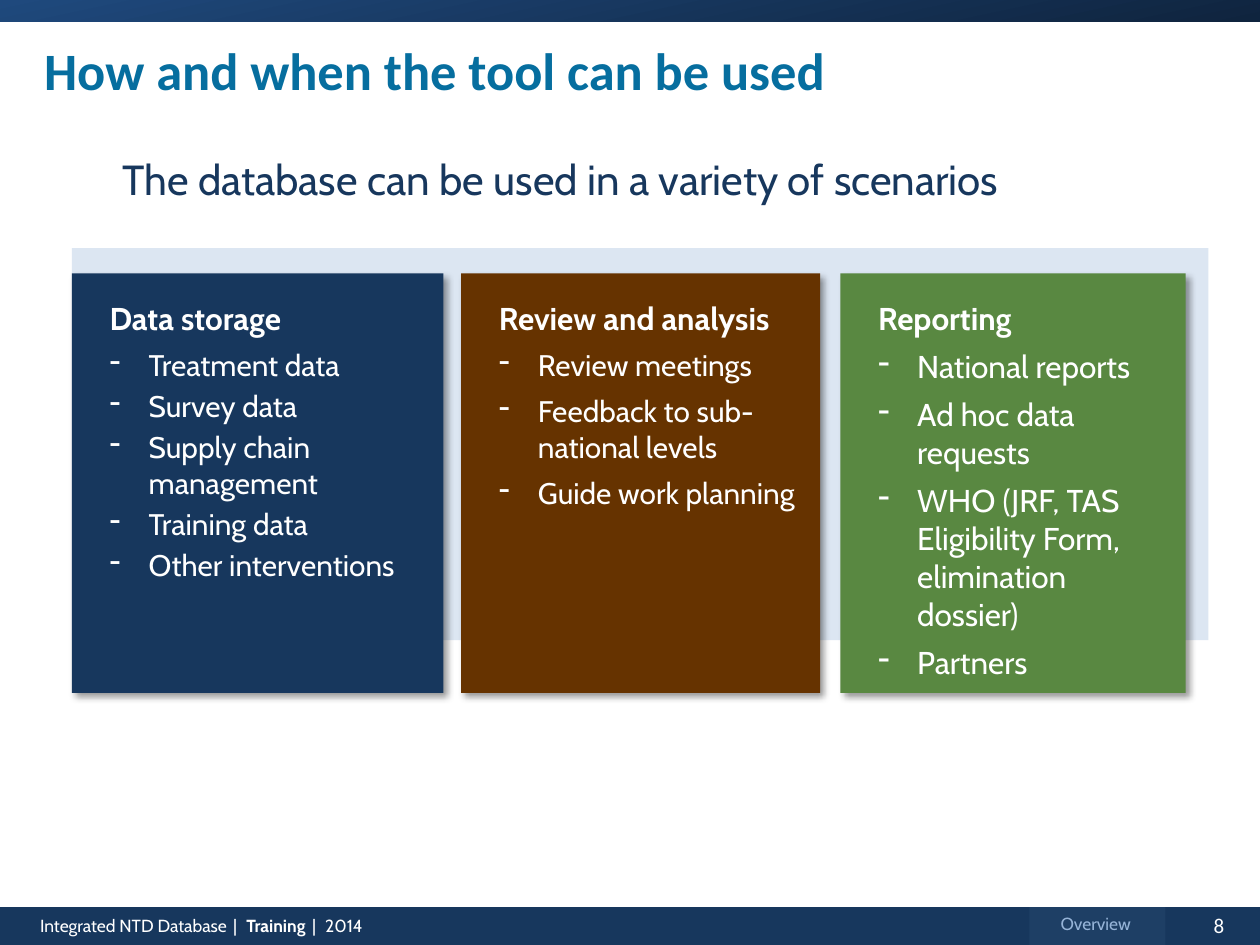
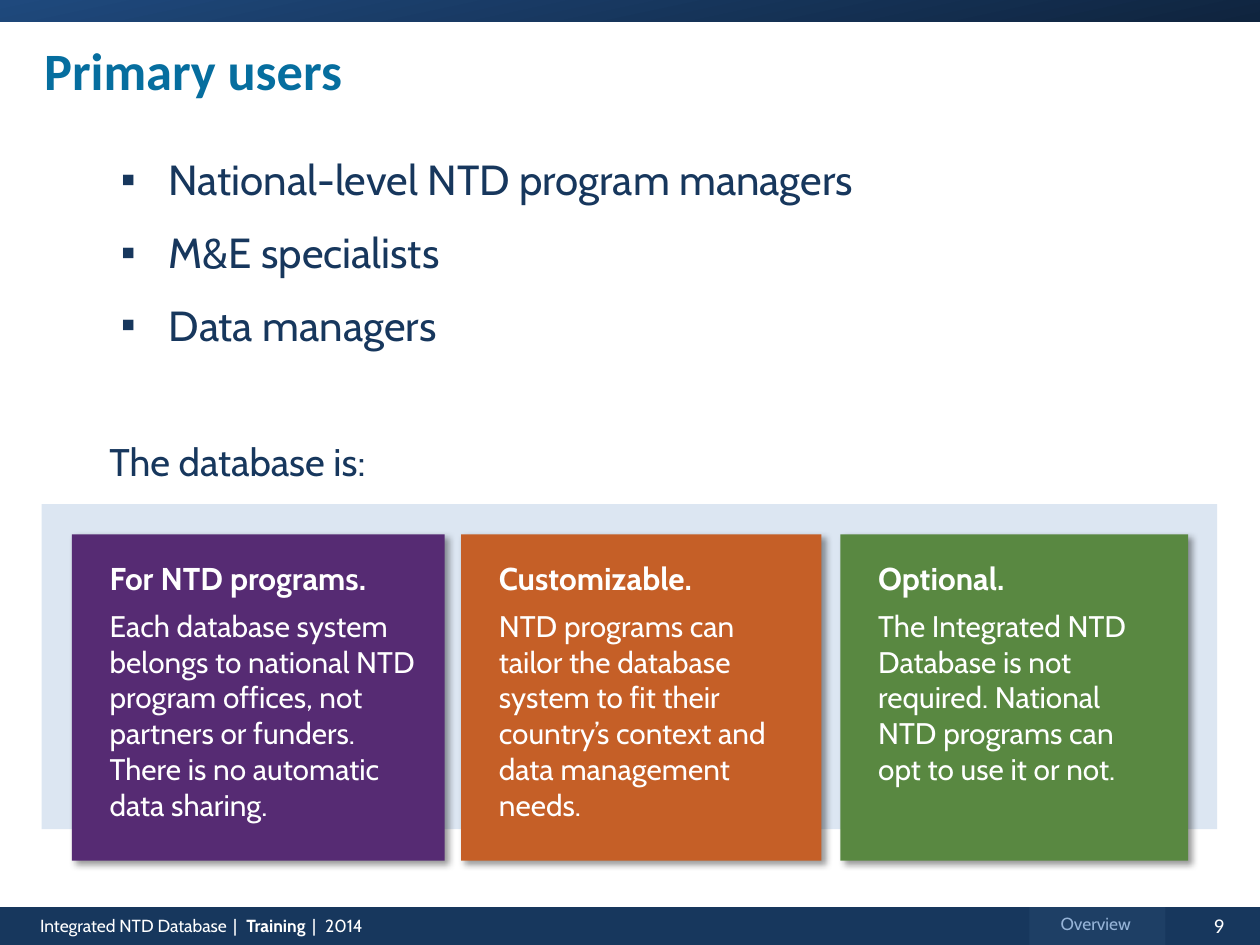
"""Build two training slides on how a health database is used and by whom."""
from lxml.etree import SubElement
from pptx import Presentation
from pptx.dml.color import RGBColor
from pptx.enum.shapes import MSO_SHAPE
from pptx.enum.text import MSO_ANCHOR, MSO_AUTO_SIZE, PP_ALIGN
from pptx.oxml.ns import qn
from pptx.util import Inches, Pt

NAVY = RGBColor(0x17, 0x37, 0x5D)
BAND_LIGHT = RGBColor(0x1F, 0x49, 0x7D)
BAND_DARK = RGBColor(0x0F, 0x24, 0x3E)
TAB_BLUE = RGBColor(0x1E, 0x3F, 0x65)
TAB_TEXT = RGBColor(0x95, 0xB3, 0xD7)
PALE_BLUE = RGBColor(0xDC, 0xE6, 0xF2)
TITLE_BLUE = RGBColor(0x06, 0x6E, 0x9F)
BROWN = RGBColor(0x66, 0x33, 0x00)
GREEN = RGBColor(0x59, 0x88, 0x41)
PURPLE = RGBColor(0x56, 0x2B, 0x73)
ORANGE = RGBColor(0xC5, 0x5F, 0x27)
WHITE = RGBColor(0xFF, 0xFF, 0xFF)

CARD_LEFTS = (0.57, 3.66, 6.67)
CARD_FRAME = {"margin_left": Inches(0.3), "margin_top": Inches(0.2),
              "margin_right": Inches(0.2), "margin_bottom": 0,
              "vertical_anchor": MSO_ANCHOR.TOP, "word_wrap": True}
TITLE_FRAME = {"margin_left": Inches(0.2), "margin_top": Inches(0.05),
               "margin_right": Inches(0.2), "margin_bottom": Inches(0.05),
               "vertical_anchor": MSO_ANCHOR.MIDDLE, "word_wrap": False,
               "auto_size": MSO_AUTO_SIZE.SHAPE_TO_FIT_TEXT}


def apply(target, values):
    """Set each named attribute of the target."""
    for name, value in values.items():
        setattr(target, name, value)


def place(part, left, top, width, height):
    """Move and size a part, in inches."""
    apply(part, {"left": Inches(left), "top": Inches(top),
                 "width": Inches(width), "height": Inches(height)})


def add_run(paragraph, text, size, color, bold=False, face="Cabin"):
    """Append a formatted run to a paragraph."""
    run = paragraph.add_run()
    run.text = text
    apply(run.font, {"size": Pt(size), "bold": bold, "name": face})
    run.font.color.rgb = color
    return run


def next_paragraph(frame):
    """Return the first paragraph while it is empty, then new ones."""
    first = frame.paragraphs[0]
    return first if not first.runs else frame.add_paragraph()


def set_bullet(paragraph, mark, indent, hanging, percent=100):
    """Give a paragraph a bullet mark, or none, with its indents."""
    props = paragraph._p.get_or_add_pPr()
    props.set("marL", str(Inches(indent)))
    props.set("indent", str(Inches(-hanging)))
    if mark:
        SubElement(props, qn("a:buSzPct")).set("val", str(percent * 1000))
        SubElement(props, qn("a:buChar")).set("char", mark)
    else:
        SubElement(props, qn("a:buNone"))


def add_rect(slide, bounds, color):
    """Add a plain rectangle without outline or shadow."""
    rect = slide.shapes.add_shape(MSO_SHAPE.RECTANGLE, *map(Inches, bounds))
    rect.shadow.inherit = False
    rect.fill.solid()
    rect.fill.fore_color.rgb = color
    rect.line.fill.background()
    return rect


def add_label(slide, bounds, align=PP_ALIGN.LEFT, wrap=True):
    """Add an empty text box and return its paragraph."""
    frame = slide.shapes.add_textbox(*map(Inches, bounds)).text_frame
    frame.word_wrap = wrap
    frame.paragraphs[0].alignment = align
    return frame.paragraphs[0]


def add_bands(slide, number):
    """Draw the top band and the footer with its section tab."""
    top_band = add_rect(slide, (0, 0, 10, 0.17), NAVY)
    top_band.fill.gradient()
    top_band.fill.gradient_angle = 282
    for stop, color in zip(top_band.fill.gradient_stops, (BAND_LIGHT, BAND_DARK)):
        stop.color.rgb = color
    for stop, position in zip(top_band.fill.gradient_stops, (0, 1)):
        stop.position = position
    add_rect(slide, (0, 7.2, 10, 0.3), NAVY)
    add_rect(slide, (8.17, 7.2, 1.08, 0.3), TAB_BLUE)
    page = add_label(slide, (9.35, 7.19, 0.65, 0.3), PP_ALIGN.CENTER)
    add_run(page, str(number), 12, WHITE, face="Calibri")
    section = add_label(slide, (8.17, 7.2, 1.05, 0.27), PP_ALIGN.CENTER)
    add_run(section, "Overview", 10, TAB_TEXT)
    course = add_label(slide, (0.22, 7.21, 4.53, 0.27))
    for text in ("Integrated NTD Database", " | ", "Training", " | ", "2014"):
        run = add_run(course, text, 10, WHITE, bold=text == "Training")
        if text == " | ":
            run.font._element.set("spc", "150")


def set_title(slide, text, width):
    """Fill and place the title placeholder."""
    title = slide.shapes.title
    place(title, 0.15, 0.23, width, 0.64)
    apply(title.text_frame, TITLE_FRAME)
    heading = title.text_frame.paragraphs[0]
    heading.alignment = PP_ALIGN.LEFT
    add_run(heading, text, 30, TITLE_BLUE, True, "Calibri")


def set_body(slide, lines, height, mark=None):
    """Fill and place the body placeholder."""
    body = slide.placeholders[1]
    place(body, 0.67, 1.17, 8.5, height)
    body.text_frame.auto_size = MSO_AUTO_SIZE.NONE
    indent, hanging = (0.57, 0.38) if mark else (0.2, 0)
    for line in lines:
        paragraph = next_paragraph(body.text_frame)
        paragraph.space_after = Pt(8)
        set_bullet(paragraph, mark, indent, hanging)
        add_run(paragraph, line, 24, NAVY)


def add_shadow(card):
    """Give a card a soft shadow to the lower right."""
    effects = card._element.spPr.find(qn("a:effectLst"))
    shadow = SubElement(effects, qn("a:outerShdw"), blurRad=str(Pt(4)),
                        dist=str(Pt(3)), dir="2700000", algn="tl", rotWithShape="0")
    tint = SubElement(shadow, qn("a:srgbClr"), val="000000")
    SubElement(tint, qn("a:alpha"), val="40000")


def add_card(slide, bounds, color, heading, lines, size=17, gap=6, mark=None):
    """Add a coloured card with a bold heading and its lines."""
    card = add_rect(slide, bounds, color)
    add_shadow(card)
    frame = card.text_frame
    apply(frame, CARD_FRAME)
    for text in (heading, *lines):
        is_heading = text == heading
        paragraph = next_paragraph(frame)
        apply(paragraph, {"alignment": PP_ALIGN.LEFT,
                          "space_after": Pt(6 if is_heading else gap)})
        if mark and not is_heading:
            set_bullet(paragraph, mark, 0.31, 0.31, 110)
        add_run(paragraph, text, 18 if is_heading else size, WHITE, is_heading)


def add_cards(slide, top, height, widths, cards, mark=None):
    """Lay out the three cards side by side."""
    for left, width, card in zip(CARD_LEFTS, widths, cards):
        add_card(slide, (left, top, width, height), mark=mark, **card)


def start_slide(deck, number, title, title_width):
    """Add a slide with the shared bands and title."""
    slide = deck.slides.add_slide(deck.slide_layouts[1])
    add_bands(slide, number)
    set_title(slide, title, title_width)
    return slide


def build_scenarios(deck):
    """Build the slide on the uses of the tool."""
    slide = start_slide(deck, 8, "How and when the tool can be used", 7.48)
    set_body(slide, ["The database can be used in a variety of scenarios"], 0.5)
    add_rect(slide, (0.57, 1.97, 9.02, 3.11), PALE_BLUE)
    add_cards(slide, 2.17, 3.33, (2.95, 2.85, 2.74), [
        {"color": NAVY, "heading": "Data storage", "gap": 3,
         "lines": ["Treatment data", "Survey data", "Supply chain management",
                   "Training data", "Other interventions"]},
        {"color": BROWN, "heading": "Review and analysis",
         "lines": ["Review meetings", "Feedback to sub-national levels",
                   "Guide work planning"]},
        {"color": GREEN, "heading": "Reporting", "size": 18,
         "lines": ["National reports", "Ad hoc data requests",
                   "WHO (JRF, TAS Eligibility Form, elimination dossier)",
                   "Partners"]},
    ], mark="-")


def build_users(deck):
    """Build the slide on the users and traits of the database."""
    slide = start_slide(deck, 9, "Primary users", 3.24)
    set_body(slide, ["National-level NTD program managers", "M&E specialists",
                     "Data managers"], 4.95, mark="▪")
    add_rect(slide, (0.33, 4, 9.33, 2.58), PALE_BLUE)
    lead_in = add_label(slide, (0.77, 3.43, 2.37, 0.47), wrap=False)
    add_run(lead_in, "The database is:", 22, NAVY)
    add_cards(slide, 4.24, 2.59, (2.96, 2.86, 2.76), [
        {"color": PURPLE, "heading": "For NTD programs.",
         "lines": ["Each database system belongs to national NTD program offices, "
                   "not partners or funders. There is no automatic data sharing."]},
        {"color": ORANGE, "heading": "Customizable.",
         "lines": ["NTD programs can tailor the database system to fit their "
                   "country’s context and data management needs."]},
        {"color": GREEN, "heading": "Optional.",
         "lines": ["The Integrated NTD Database is not required. National NTD "
                   "programs can opt to use it or not."]},
    ])


def main():
    """Build and save the deck."""
    deck = Presentation()
    apply(deck, {"slide_width": Inches(10), "slide_height": Inches(7.5)})
    build_scenarios(deck)
    build_users(deck)
    deck.save("out.pptx")


if __name__ == "__main__":
    main()
